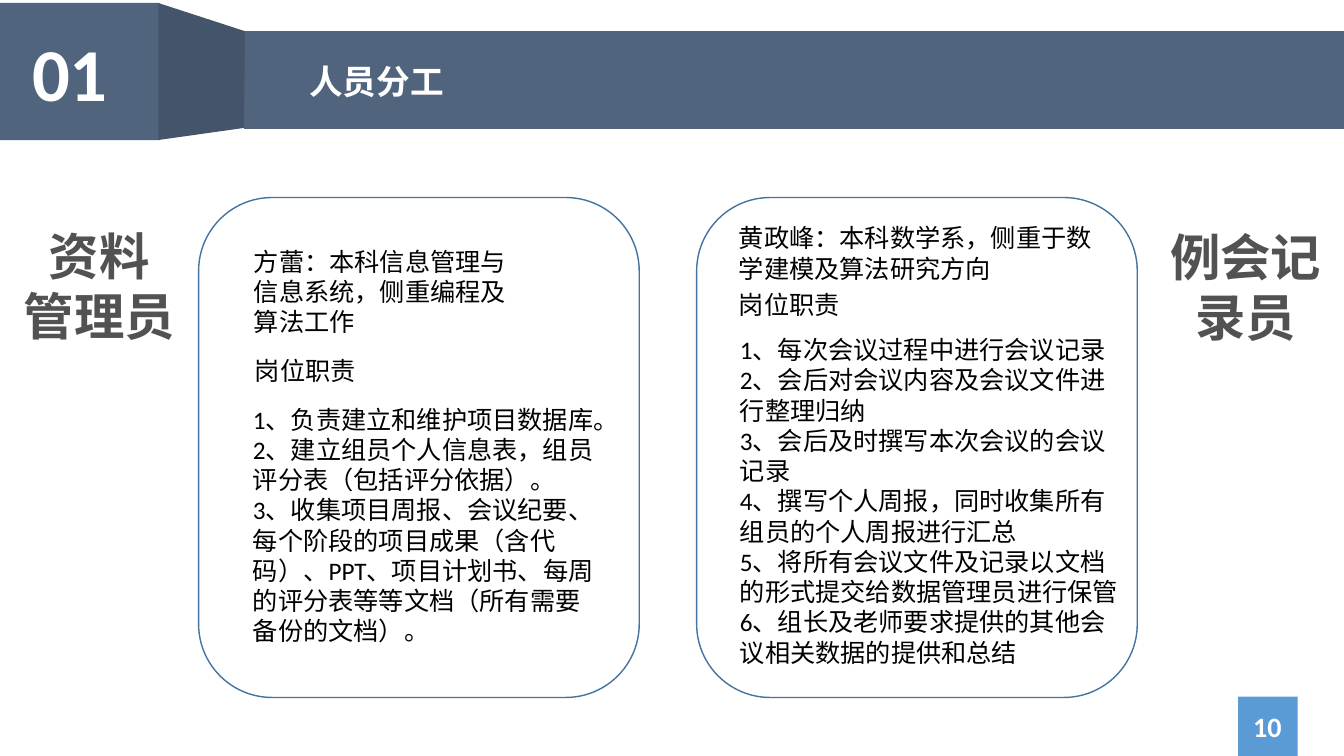
import pptx
import pptx.dml.color
import pptx.enum.shapes
import pptx.enum.text
import pptx.util

Inches = pptx.util.Inches
RGBColor = pptx.dml.color.RGBColor
Shapes = pptx.enum.shapes.MSO_SHAPE
Align = pptx.enum.text.PP_ALIGN
Anchor = pptx.enum.text.MSO_ANCHOR
AutoSize = pptx.enum.text.MSO_AUTO_SIZE

WHITE = RGBColor(0xFF, 0xFF, 0xFF)
BLACK = RGBColor(0, 0, 0)
GRAY = RGBColor(0x52, 0x52, 0x52)
SLATE = RGBColor(0x51, 0x64, 0x7E)
DARK_SLATE = RGBColor(0x44, 0x54, 0x6A)
BLUE = RGBColor(0x5B, 0x9B, 0xD5)
OUTLINE = RGBColor(0x43, 0x73, 0x9E)

LATIN = "Calibri"
CHINESE = "Noto Sans CJK SC"


class SlideBuilder:
    def __init__(self, slide):
        self.slide = slide

    def paint(self, shape, fill, line=None):
        shape.shadow.inherit = False
        shape.fill.solid()
        shape.fill.fore_color.rgb = fill
        if line is None:
            shape.line.fill.background()
        else:
            shape.line.color.rgb = line
            shape.line.width = pptx.util.Pt(1)

    def box(self, left, top, width, height, fill, line=None, kind=Shapes.RECTANGLE):
        shape = self.slide.shapes.add_shape(
            kind, Inches(left), Inches(top), Inches(width), Inches(height))
        self.paint(shape, fill, line)

    def polygon(self, points, fill):
        corners = [(Inches(x), Inches(y)) for x, y in points]
        builder = self.slide.shapes.build_freeform(*corners[0])
        builder.add_line_segments(corners[1:], close=True)
        self.paint(builder.convert_to_shape(), fill)

    def text(self, text, left, top, width, height, size=18, font=LATIN, color=BLACK,
             bold=False, align=None, spacing=None, wrap=True, grow=True,
             anchor=Anchor.TOP):
        """Each line of text is a paragraph; a vertical tab is a line break."""
        shape = self.slide.shapes.add_textbox(
            Inches(left), Inches(top), Inches(width), Inches(height))
        frame = shape.text_frame
        frame.text = text
        frame.word_wrap = wrap
        frame.vertical_anchor = anchor
        frame.auto_size = AutoSize.SHAPE_TO_FIT_TEXT if grow else AutoSize.NONE
        for paragraph in frame.paragraphs:
            paragraph.alignment = align
            paragraph.line_spacing = spacing
            for run in paragraph.runs:
                run.font.size = pptx.util.Pt(size)
                run.font.name = font
                run.font.bold = bold
                run.font.color.rgb = color


presentation = pptx.Presentation()
presentation.slide_width = Inches(13.33)
presentation.slide_height = Inches(7.5)
builder = SlideBuilder(presentation.slides.add_slide(presentation.slide_layouts[6]))

# Header band
builder.box(2.42, 0.31, 10.91, 0.97, SLATE)
builder.box(0, 0.03, 1.58, 1.36, SLATE)
builder.polygon([(1.57, 0.03), (2.43, 0.31), (2.42, 1.27), (1.57, 1.39)], DARK_SLATE)
builder.text("01", 0.22, 0.22, 0.96, 1, size=53.3, color=WHITE, bold=True, wrap=False)
builder.text("人员分工", 2.97, 0.44, 9.77, 0.57, size=24, font=CHINESE, color=WHITE,
             bold=True, spacing=1.3)

# Role cards
for card_left in (1.97, 6.91):
    builder.box(card_left, 1.96, 4.37, 4.96, WHITE, OUTLINE,
                Shapes.FLOWCHART_ALTERNATE_PROCESS)

# Role names
for role, left, top in (("资料\n管理员", 0.09, 2.18), ("例会记录员", 11.46, 2.19)):
    builder.text(role, left, top, 1.79, 1.31, size=36, font=CHINESE, color=GRAY,
                 bold=True, align=Align.CENTER)

# Data manager
builder.text("方蕾：本科信息管理与信息系统，侧重编程及算法工作", 2.42, 2.39, 2.92, 1.31)
builder.text("岗位职责", 2.43, 3.48, 2.11, 0.4)
manager_duties = [
    "1、负责建立和维护项目数据库。",
    "2、建立组员个人信息表，组员评分表（包括评分依据）。",
    "3、收集项目周报、会议纪要、每个阶段的项目成果（含代码）、PPT、项目计划书、"
    "每周的评分表等等文档（所有需要备份的文档）。",
]
builder.text("\n".join(manager_duties), 2.41, 3.96, 3.68, 2.83)

# Meeting recorder
builder.text("黄政峰：本科数学系，侧重于数学建模及算法研究方向", 7.23, 2.16, 3.74, 1.01)
builder.text("岗位职责", 7.23, 2.82, 2.19, 0.4)
recorder_duties = [
    "1、每次会议过程中进行会议记录",
    "2、会后对会议内容及会议文件进行整理归纳",
    "3、会后及时撰写本次会议的会议记录",
    "4、撰写个人周报，同时收集所有组员的个人周报进行汇总",
    "5、将所有会议文件及记录以文档的形式提交给数据管理员进行保管",
    "6、组长及老师要求提供的其他会议相关数据的提供和总结",
]
builder.text("\v".join(recorder_duties), 7.24, 3.27, 4.03, 3.74)

# Page number
builder.box(12.28, 6.91, 0.59, 0.59, BLUE)
builder.text("10", 11.81, 7.01, 1.52, 0.4, size=20, color=WHITE, bold=True,
             align=Align.CENTER, grow=False, anchor=Anchor.MIDDLE)

presentation.save("out.pptx")
